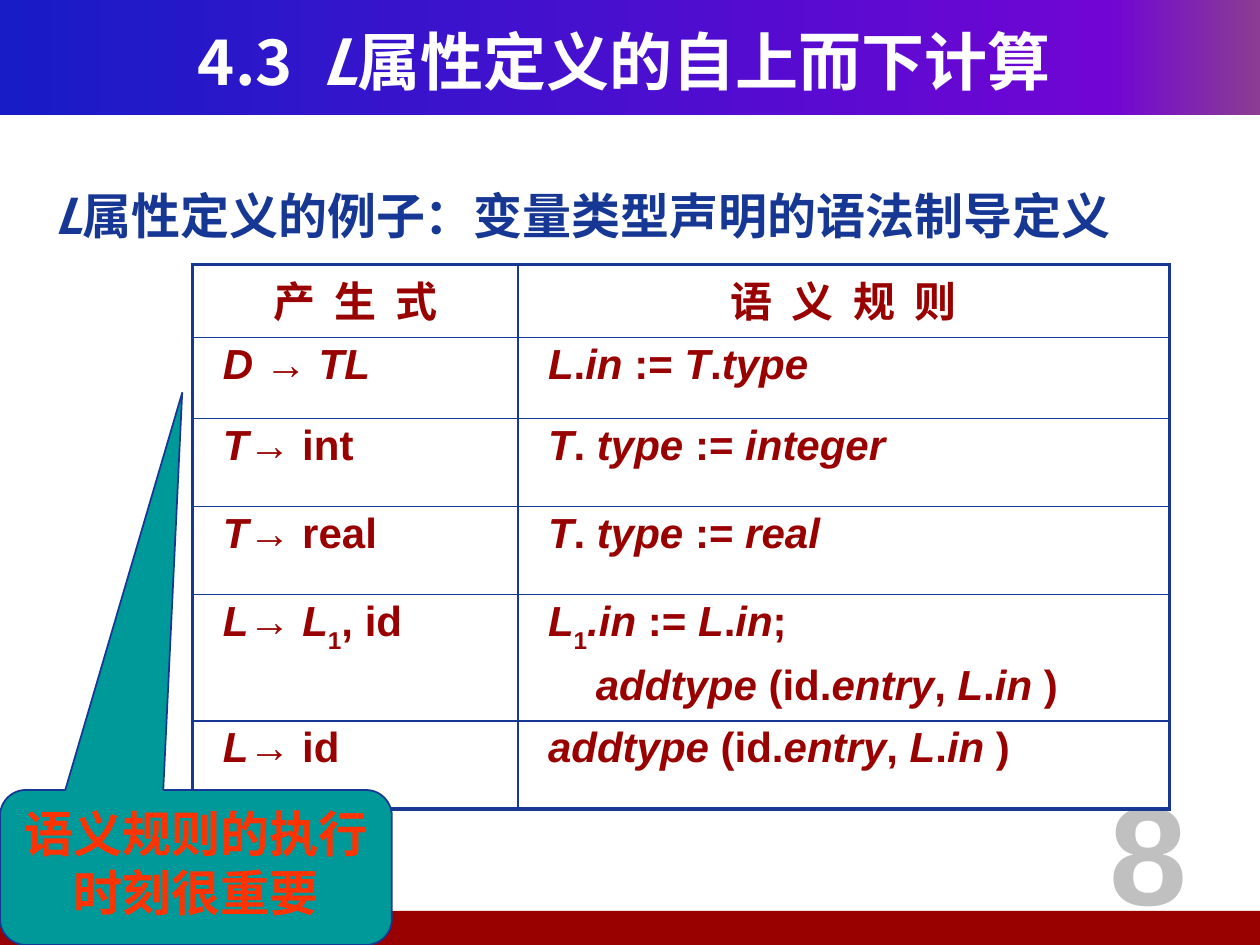
import pptx
import pptx.util
import pptx.dml.color
import pptx.enum.shapes
import pptx.enum.text
import pptx.oxml
import pptx.oxml.ns
import lxml.etree

Inches = pptx.util.Inches
Pt = pptx.util.Pt
SHAPE = pptx.enum.shapes.MSO_SHAPE
ALIGN = pptx.enum.text.PP_ALIGN
ANCHOR = pptx.enum.text.MSO_ANCHOR
qn = pptx.oxml.ns.qn

NAVY, RED, WHITE = "163794", "990000", "FFFFFF"
CJK, LATIN = "Noto Sans CJK SC", "Arial"

HEADS = ["产  生  式", "语  义  规  则"]
# Asterisks enclose italics, tildes enclose subscripts.
RULES = [
    ("*D* → *TL*", ["*L*.*in* := *T*.*type*"]),
    ("*T*→ int", ["*T*.* type* := *integer*"]),
    ("*T*→ real", ["*T*.* type* := *real*"]),
    ("*L*→ *L*~1~, id",
     ["*L*~1~*.in* := *L*.*in*;", "*addtype* (id.*entry*, *L*.*in* )"]),
    ("*L*→ id", ["*addtype* (id.*entry*, *L*.*in* )"]),
]


def color(code):
    return pptx.dml.color.RGBColor.from_string(code)


def write(para, text, size, code, face, align=ALIGN.LEFT):
    """Fill a paragraph with marked-up bold text."""
    para.alignment = align
    for i, part in enumerate(text.split("~")):
        for j, piece in enumerate(part.split("*")):
            if not piece:
                continue
            run = para.add_run()
            run.text = piece
            font = run.font
            font.name, font.size, font.bold = face, Pt(size), True
            font.italic = j % 2 == 1
            font.color.rgb = color(code)
            props = run._r.get_or_add_rPr()
            lxml.etree.SubElement(props, qn("a:ea")).set("typeface", face)
            if i % 2:
                props.set("baseline", "-30000")


def indent(para, left, first=0):
    props = para._p.get_or_add_pPr()
    props.set("marL", str(Inches(left)))
    props.set("indent", str(Inches(first)))


def place(shape, box):
    shape.left, shape.top, shape.width, shape.height = map(Inches, box)


def band(slide, box, code):
    bar = slide.shapes.add_shape(SHAPE.RECTANGLE, *map(Inches, box))
    bar.shadow.inherit = False
    bar.line.fill.background()
    bar.fill.solid()
    bar.fill.fore_color.rgb = color(code)
    return bar


def blend(shape, stops):
    """Give the shape a left-to-right gradient."""
    shape.fill.gradient()
    shape.fill.gradient_angle = 0
    group = shape._element.spPr.find(qn("a:gradFill")).find(qn("a:gsLst"))
    for old in list(group):
        group.remove(old)
    for pos, code in stops:
        stop = lxml.etree.SubElement(group, qn("a:gs"), pos=str(pos * 1000))
        lxml.etree.SubElement(stop, qn("a:srgbClr"), val=code)


def add_title(slide, box):
    title = slide.shapes.title
    place(title, box)
    frame = title.text_frame
    frame.vertical_anchor = ANCHOR.MIDDLE
    write(frame.paragraphs[0], "4.3  *L*属性定义的自上而下计算", 36, WHITE,
          CJK, ALIGN.CENTER)


def add_body(slide, box):
    body = slide.placeholders[1]
    place(body, box)
    para = body.text_frame.paragraphs[0]
    write(para, "*L*属性定义的例子：变量类型声明的语法制导定义", 28, NAVY, CJK)
    indent(para, 0.38, -0.38)
    lxml.etree.SubElement(para._p.get_or_add_pPr(), qn("a:buNone"))


def add_number(slide, box):
    frame = slide.shapes.add_textbox(*map(Inches, box)).text_frame
    frame.word_wrap = True
    write(frame.paragraphs[0], "8", 80, "C0C0C0", LATIN, ALIGN.CENTER)


def style(cell, edges):
    """Clear the fill, set margins and draw the four borders."""
    cell.margin_left = cell.margin_right = Inches(0.06)
    cell.margin_top = cell.margin_bottom = Inches(0.03)
    props = cell._tc.get_or_add_tcPr()
    for side, outer in zip("LRTB", edges):
        width = Pt(2.25 if outer else 1)
        line = lxml.etree.SubElement(props, qn("a:ln" + side), w=str(width))
        fill = lxml.etree.SubElement(line, qn("a:solidFill"))
        lxml.etree.SubElement(fill, qn("a:srgbClr"), val=NAVY)
    cell.fill.background()


def add_rules(slide, box):
    count = len(RULES) + 1
    table = slide.shapes.add_table(count, 2, *map(Inches, box)).table
    table.first_row = table.horz_banding = False
    for col, width in zip(table.columns, (2.58, 5.17)):
        col.width = Inches(width)
    for row, height in zip(table.rows, (0.58, 0.64, 0.7, 0.7, 0.94, 0.7)):
        row.height = Inches(height)
    for r in range(count):
        for c in range(2):
            style(table.cell(r, c), (c == 0, c == 1, r == 0, r == count - 1))
    for c, head in enumerate(HEADS):
        para = table.cell(0, c).text_frame.paragraphs[0]
        write(para, head, 24, RED, CJK, ALIGN.CENTER)
    for r, (left, right) in enumerate(RULES, 1):
        for c, lines in enumerate(([left], right)):
            frame = table.cell(r, c).text_frame
            for n, line in enumerate(lines):
                para = frame.add_paragraph() if n else frame.paragraphs[0]
                write(para, line, 24, RED, LATIN)
                indent(para, 0.56 if n else 0.18)
                if n:
                    para.space_before = Pt(5)


def add_callout(slide, box):
    note = slide.shapes.add_shape(SHAPE.ROUNDED_RECTANGULAR_CALLOUT,
                                  *map(Inches, box))
    note.shadow.inherit = False
    for i, value in enumerate((-0.035, -3.064, 0.167)):
        note.adjustments[i] = value
    note.fill.solid()
    note.fill.fore_color.rgb = color("009999")
    note.line.color.rgb = color(NAVY)
    note.line.width = Pt(1)
    frame = note.text_frame
    frame.word_wrap = True
    frame.vertical_anchor = ANCHOR.TOP
    write(frame.paragraphs[0], "语义规则的执行时刻很重要", 28, "FF3300",
          LATIN, ALIGN.CENTER)


def main():
    deck = pptx.Presentation()
    deck.slide_width, deck.slide_height = Inches(10), Inches(7.5)
    slide = deck.slides.add_slide(deck.slide_layouts[1])
    holders = list(slide.placeholders)
    top = band(slide, (0, 0, 10, 0.91), NAVY)
    blend(top, [(0, "181CC7"), (88, "7005D4"), (100, "8C3D91")])
    band(slide, (-0.04, 7.23, 10.04, 0.27), RED)
    for holder in holders:
        slide.shapes._spTree.append(holder._element)
    add_title(slide, (0.33, 0.17, 9.25, 0.62))
    add_body(slide, (0.33, 1.42, 9.42, 5.75))
    add_number(slide, (8.23, 6.03, 1.77, 1.42))
    add_rules(slide, (1.53, 2.1, 7.75, 4.27))
    add_callout(slide, (0, 6.27, 3.11, 1.23))
    deck.save("out.pptx")


if __name__ == "__main__":
    main()
